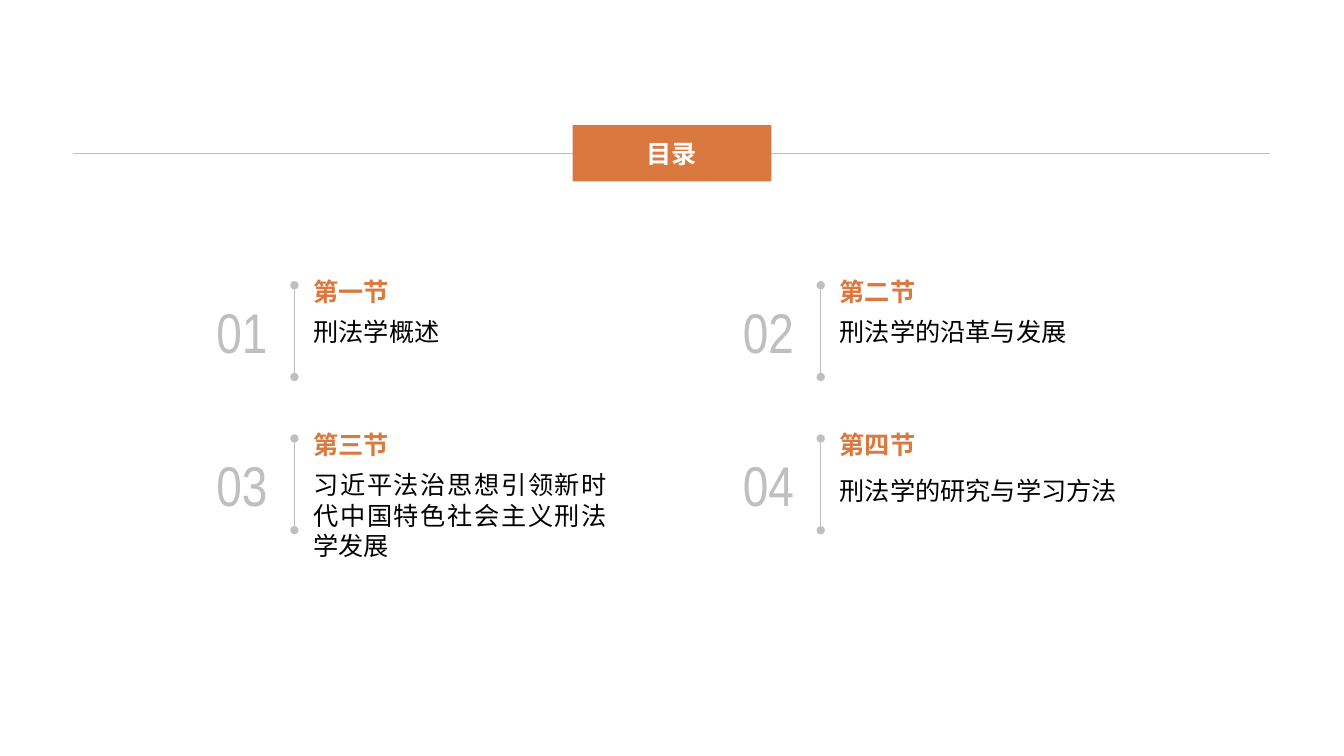
import lxml.etree
import pptx
import pptx.dml.color
import pptx.enum.shapes
import pptx.enum.text
import pptx.oxml.ns
import pptx.util

PX = 9144
ORANGE, GREY, BLACK, WHITE = "D9793F", "BFBFBF", "000000", "FFFFFF"
CJK, NARROW = "Noto Sans CJK SC", "Arial Narrow"
ALIGN = pptx.enum.text.PP_ALIGN
ANCHOR = pptx.enum.text.MSO_ANCHOR

SECTIONS = [
    ("第一节", "刑法学概述", 311, 1.0),
    ("第二节", "刑法学的沿革与发展", 311, 1.0),
    ("第三节", "习近平法治思想引领新时代中国特色社会主义刑法学发展", 311, 1.0),
    ("第四节", "刑法学的研究与学习方法", 333, 1.2),
]


def px(*lengths):
    """Turn pixel lengths into EMU."""
    return [pptx.util.Emu(length * PX) for length in lengths]


def rgb(hex_code):
    """Turn a hex string into a colour."""
    return pptx.dml.color.RGBColor.from_string(hex_code)


def add_xml(parent, tag, **attributes):
    """Append a drawing element to its parent."""
    return lxml.etree.SubElement(parent, pptx.oxml.ns.qn(tag), attributes)


def write(holder, words, size, color, font=CJK, bold=False,
          align=ALIGN.LEFT, anchor=ANCHOR.TOP, spacing=1.0):
    """Put one formatted paragraph into a shape."""
    frame = holder.text_frame
    frame.text = words
    frame.word_wrap = True
    frame.auto_size = pptx.enum.text.MSO_AUTO_SIZE.NONE
    frame.vertical_anchor = anchor
    paragraph = frame.paragraphs[0]
    paragraph.alignment = align
    paragraph.line_spacing = spacing
    paragraph.font.size = pptx.util.Pt(size)
    paragraph.font.bold = bold
    paragraph.font.color.rgb = rgb(color)
    paragraph.font.name = font
    properties = paragraph._p.pPr.find(pptx.oxml.ns.qn("a:defRPr"))
    add_xml(properties, "a:ea", typeface=font)


def add_rule(slide, x1, y1, x2, y2, width, dotted_ends=False):
    """Draw a grey line, with round ends if asked."""
    rule = slide.shapes.add_connector(
        pptx.enum.shapes.MSO_CONNECTOR.STRAIGHT, *px(x1, y1, x2, y2))
    rule.line.color.rgb = rgb(GREY)
    rule.line.width = pptx.util.Pt(width)
    if dotted_ends:
        outline = rule.line._get_or_add_ln()
        add_xml(outline, "a:headEnd", type="oval")
        add_xml(outline, "a:tailEnd", type="oval")
    add_xml(rule._element.spPr, "a:effectLst")


def add_heading(slide, left, top, width, height):
    """Place the title pill centred on a full-width rule."""
    middle = top + height // 2
    add_rule(slide, left, middle, left + width, middle, 0.25)
    heading = slide.shapes.title
    pill_width = 197
    heading.left, heading.top, heading.width, heading.height = px(
        left + (width - pill_width) // 2 + 1, top, pill_width, height)
    geometry = add_xml(heading._element.spPr, "a:prstGeom", prst="roundRect")
    guides = add_xml(geometry, "a:avLst")
    add_xml(guides, "a:gd", name="adj", fmla="val 50000")
    heading.fill.solid()
    heading.fill.fore_color.rgb = rgb(ORANGE)
    write(heading, "目录", 18, WHITE, bold=True,
          align=ALIGN.CENTER, anchor=ANCHOR.MIDDLE)
    slide.shapes._spTree.append(heading._element)


def add_section(slide, left, top, number, name, topic, topic_width, spacing):
    """Place one numbered section, with its divider, from its top left."""
    boxes = slide.shapes
    write(boxes.add_textbox(*px(left, top + 14, 82, 91)), f"{number:02d}", 40,
          GREY, NARROW, align=ALIGN.CENTER, anchor=ANCHOR.MIDDLE)
    write(boxes.add_textbox(*px(left + 102, top, 311, 40)), name, 18,
          ORANGE, bold=True, anchor=ANCHOR.BOTTOM)
    write(boxes.add_textbox(*px(left + 102, top + 40, topic_width, 64)), topic,
          18, BLACK, align=ALIGN.JUSTIFY, spacing=spacing)
    add_rule(slide, left + 93, top + 14, left + 93, top + 105, 1, True)


def add_contents(slide, left, top, column_step, row_step):
    """Lay the sections out in a two-column grid."""
    for index, section in enumerate(SECTIONS):
        row, column = divmod(index, 2)
        add_section(slide, left + column * column_step, top + row * row_step,
                    index + 1, *section)


def main():
    """Build and save the contents slide."""
    deck = pptx.Presentation()
    deck.slide_width, deck.slide_height = px(1333, 750)
    slide = deck.slides.add_slide(deck.slide_layouts[5])
    add_heading(slide, 72, 124, 1188, 56)
    add_contents(slide, 199, 269, 522, 152)
    deck.save("out.pptx")


if __name__ == "__main__":
    main()
